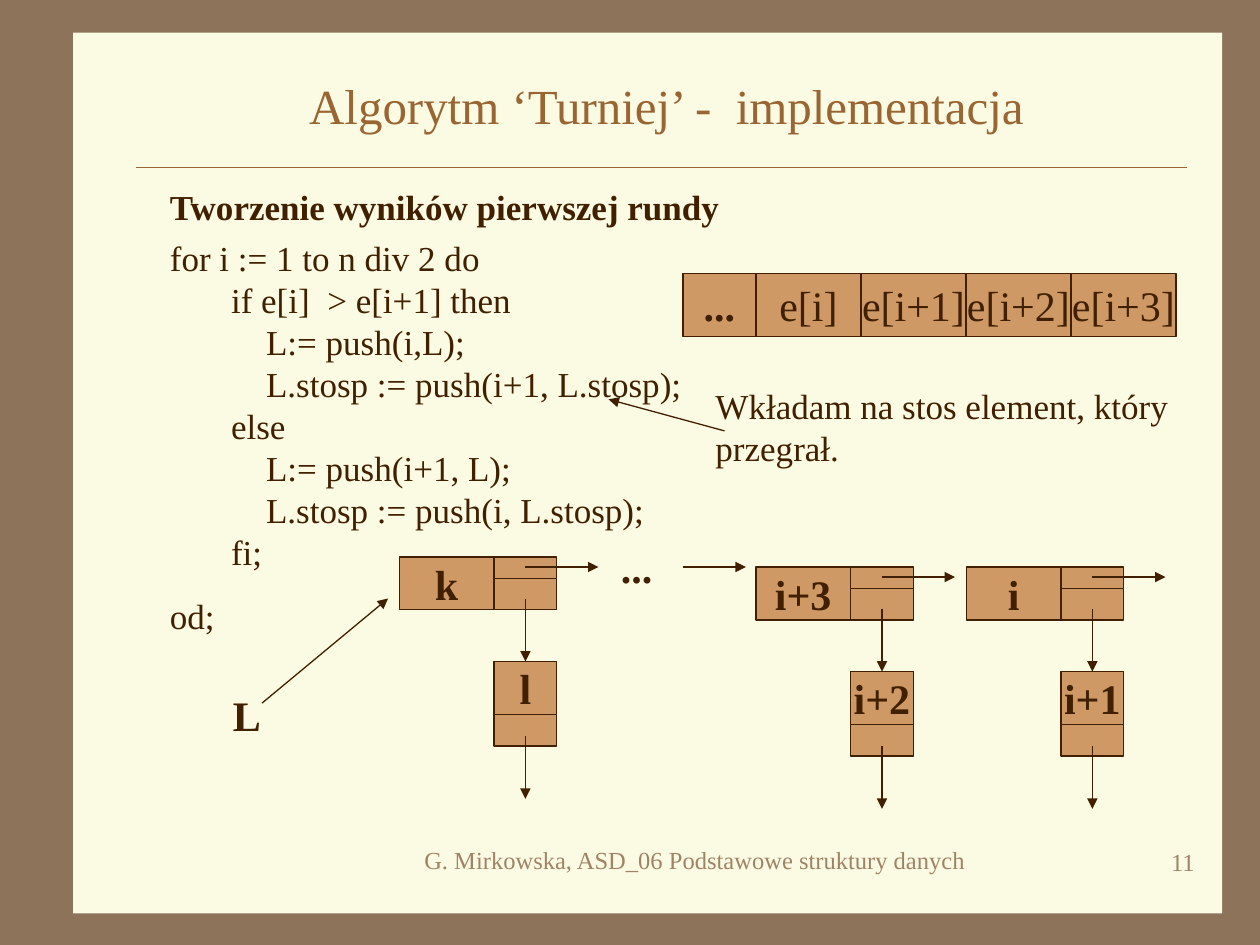
from typing import NamedTuple

from pptx import Presentation
from pptx.dml.color import RGBColor
from pptx.enum.shapes import MSO_CONNECTOR as CONN, MSO_SHAPE as SHAPE
from pptx.enum.text import MSO_ANCHOR as ANCHOR, PP_ALIGN as ALIGN
from pptx.oxml.ns import qn
from pptx.util import Inches, Pt
from lxml.etree import SubElement

FONT = "Times New Roman"
FRAME, PAPER, BROWN = "8C735A", "FBFAE2", "996633"
INK, TAN, FOOTER = "402000", "CE9964", "A08366"

CODE = """for i := 1 to n div 2 do
       if e[i]  > e[i+1] then
           L:= push(i,L);
           L.stosp := push(i+1, L.stosp);
       else
           L:= push(i+1, L);
           L.stosp := push(i, L.stosp);
       fi;"""


class Node(NamedTuple):
    x: float
    y: float
    winner: str
    loser: str


class Label(NamedTuple):
    x: float
    y: float
    w: float
    h: float
    paragraphs: list
    size: float = 20
    bold: bool = False
    color: str = INK
    align: ALIGN = ALIGN.LEFT


class Arrow(NamedTuple):
    x1: float
    y1: float
    x2: float
    y2: float


NODES = [
    Node(6, 4.5, "i+3", "i+2"),
    Node(7.67, 4.5, "i", "i+1"),
    Node(3.17, 4.42, "k", "l"),
]
LABELS = [
    Label(1.25, 1.42, 6.58, 0.44, ["Tworzenie wyników pierwszej rundy"], bold=True),
    Label(1.25, 1.83, 5.17, 3.28, [CODE, "od;"]),
    Label(1.75, 5.42, 0.5, 0.5, ["L"], size=24, bold=True),
    Label(4.83, 4.25, 0.67, 0.5, ["..."], size=24, bold=True),
    Label(5.58, 3, 4.08, 0.77, ["Wkładam na stos element, który przegrał."]),
    Label(3.11, 6.66, 4.81, 0.5, ["G. Mirkowska, ASD_06 Podstawowe struktury danych"],
          size=14, color=FOOTER, align=ALIGN.CENTER),
    Label(7.5, 6.67, 2.08, 0.5, ["11"], size=14, color=FOOTER, align=ALIGN.RIGHT),
]
ARROWS = [
    Arrow(2.08, 5.58, 3.08, 4.75),
    Arrow(5.42, 4.5, 5.92, 4.5),
    Arrow(5.75, 3.42, 4.83, 3.17),
]


def rgb(value: str) -> RGBColor:
    return RGBColor.from_string(value)


def write(p, text: str, *, size: float = 20, bold: bool = False,
          color: str = INK, align: ALIGN = ALIGN.LEFT) -> None:
    p.text = text
    p.alignment = align
    for r in p.runs:
        r.font.name = FONT
        r.font.size = Pt(size)
        r.font.bold = bold
        r.font.color.rgb = rgb(color)


def add_label(shapes, label: Label) -> None:
    box = shapes.add_textbox(*map(Inches, label[:4]))
    tf = box.text_frame
    tf.word_wrap = True
    for i, text in enumerate(label.paragraphs):
        p = tf.add_paragraph() if i else tf.paragraphs[0]
        write(p, text, size=label.size, bold=label.bold,
              color=label.color, align=label.align)
        if i:
            p.space_before = Pt(12.5)


def add_box(shapes, x: float, y: float, w: float, h: float, text: str = "",
            bold: bool = True, fill: str = TAN, line: str = INK):
    sp = shapes.add_shape(SHAPE.RECTANGLE, *map(Inches, (x, y, w, h)))
    sp.shadow.inherit = False
    sp.fill.solid()
    sp.fill.fore_color.rgb = rgb(fill)
    if line:
        sp.line.color.rgb = rgb(line)
        sp.line.width = Pt(0.75)
    else:
        sp.line.fill.background()
    if text:
        tf = sp.text_frame
        tf.word_wrap = False
        tf.vertical_anchor = ANCHOR.MIDDLE
        write(tf.paragraphs[0], text, size=24, bold=bold, align=ALIGN.CENTER)
    return sp


def add_line(shapes, x1: float, y1: float, x2: float, y2: float,
             color: str = INK, arrow: bool = True):
    line = shapes.add_connector(CONN.STRAIGHT, *map(Inches, (x1, y1, x2, y2)))
    line.line.color.rgb = rgb(color)
    line.line.width = Pt(0.75)
    if arrow:
        SubElement(line.line._get_or_add_ln(), qn("a:tailEnd"),
                   type="triangle", w="med", len="med")
    SubElement(line.element.spPr, qn("a:effectLst"))
    return line


def add_node(shapes, node: Node) -> None:
    group = shapes.add_group_shape().shapes
    x, y = node.x, node.y
    cell_x, mid = x + 0.75, x + 1
    add_box(group, x, y, 0.75, 0.42, node.winner)
    add_box(group, cell_x, y, 0.5, 0.17)
    add_box(group, cell_x, y + 0.17, 0.5, 0.25)
    loser = add_box(group, cell_x, y + 0.83, 0.5, 0.42, node.loser)
    add_box(group, cell_x, y + 1.25, 0.5, 0.25)
    add_line(group, mid, y + 0.08, mid + 0.58, y + 0.08)
    down = add_line(group, mid, y + 0.33, mid, y + 0.83)
    down.end_connect(loser, 0)
    add_line(group, mid, y + 1.42, mid, y + 1.92)


def add_array(shapes) -> None:
    group = shapes.add_group_shape().shapes
    add_box(group, 5.42, 2.17, 0.58, 0.5, "...")
    cell_w = 2.5 / 3
    for i, text in enumerate(["e[i]", "e[i+1]", "e[i+2]", "e[i+3]"]):
        add_box(group, 6 + i * cell_w, 2.17, cell_w, 0.5, text, bold=False)


def main() -> None:
    prs = Presentation()
    prs.slide_width, prs.slide_height = Inches(10), Inches(7.5)
    s = prs.slides.add_slide(prs.slide_layouts[5])
    s.background.fill.solid()
    s.background.fill.fore_color.rgb = rgb(FRAME)

    title = s.shapes.title
    panel = add_box(s.shapes, 0.58, 0.26, 9.12, 6.99, fill=PAPER, line="")
    title.element.addprevious(panel.element)
    title.left, title.top, title.width, title.height = map(Inches, (1.08, 0.5, 8.42, 0.67))
    title.text_frame.vertical_anchor = ANCHOR.MIDDLE
    write(title.text_frame.paragraphs[0], "Algorytm ‘Turniej’ -  implementacja",
          size=28, color=BROWN, align=ALIGN.CENTER)
    add_line(s.shapes, 1.08, 1.33, 9.42, 1.33, color=BROWN, arrow=False)

    add_array(s.shapes)
    for node in NODES:
        add_node(s.shapes, node)
    for label in LABELS:
        add_label(s.shapes, label)
    for arrow in ARROWS:
        add_line(s.shapes, *arrow)
    prs.save("out.pptx")


if __name__ == "__main__":
    main()
